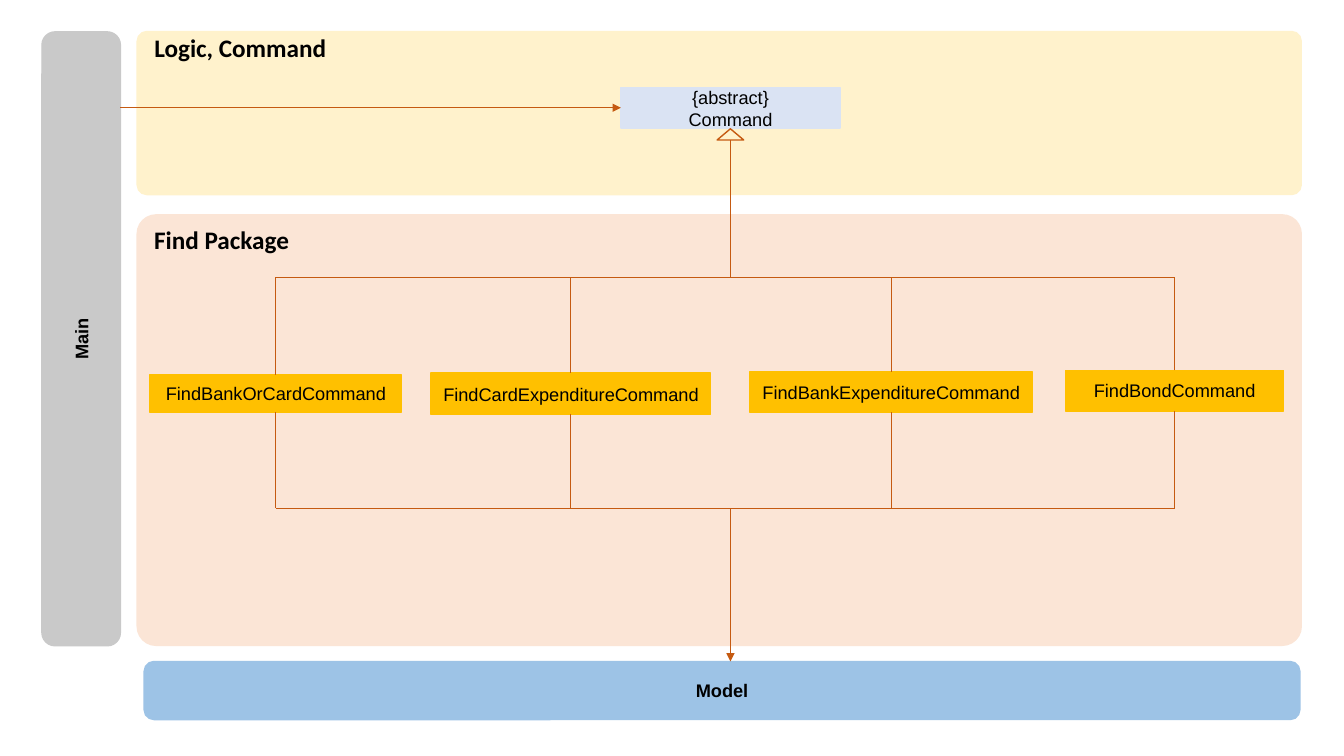
from dataclasses import dataclass

from pptx import Presentation
from pptx.dml.color import RGBColor
from pptx.enum.shapes import MSO_CONNECTOR, MSO_SHAPE
from pptx.enum.text import MSO_ANCHOR, MSO_AUTO_SIZE, PP_ALIGN
from pptx.oxml.ns import qn
from pptx.shapes.autoshape import Shape
from pptx.slide import Slide
from pptx.util import Pt
from lxml.etree import SubElement

BLACK = RGBColor(0x00, 0x00, 0x00)
PEACH = RGBColor(0xFB, 0xE5, 0xD6)
CREAM = RGBColor(0xFF, 0xF2, 0xCC)
PALE_BLUE = RGBColor(0xDA, 0xE3, 0xF3)
AMBER = RGBColor(0xFF, 0xC0, 0x00)
BLUE = RGBColor(0x9D, 0xC3, 0xE6)
GREY = RGBColor(0xC9, 0xC9, 0xC9)
RUST = RGBColor(0xC5, 0x5A, 0x11)

LABEL = {"name": "Arial", "size": Pt(13), "bold": False}
BOLD_LABEL = LABEL | {"bold": True}
HEADING = {"name": "Calibri", "size": Pt(18), "bold": True}


@dataclass(frozen=True)
class Box:
    left: float
    top: float
    width: float
    height: float
    fill: RGBColor
    text: str = ""
    corner: float = 0
    rotation: float = 0
    font: dict | None = None

    @property
    def center(self) -> float:
        return self.left + self.width / 2

    @property
    def bottom(self) -> float:
        return self.top + self.height


def write(sp: Shape, text: str, font: dict, align: PP_ALIGN, anchor: MSO_ANCHOR) -> None:
    tf = sp.text_frame
    tf.text = text
    frame = {"word_wrap": False, "auto_size": MSO_AUTO_SIZE.NONE, "vertical_anchor": anchor}
    for name, value in frame.items():
        setattr(tf, name, value)
    for p in tf.paragraphs:
        p.alignment = align
        for r in p.runs:
            for name, value in font.items():
                setattr(r.font, name, value)
            r.font.color.rgb = BLACK


def draw_box(s: Slide, box: Box) -> None:
    sp = s.shapes.add_shape(MSO_SHAPE.ROUNDED_RECTANGLE, Pt(box.left), Pt(box.top),
                            Pt(box.width), Pt(box.height))
    sp.adjustments[0] = box.corner
    sp.rotation = box.rotation
    sp.shadow.inherit = False
    sp.fill.solid()
    sp.fill.fore_color.rgb = box.fill
    sp.line.color.rgb = box.fill
    sp.line.width = Pt(1)
    if box.text:
        write(sp, box.text, box.font or LABEL, PP_ALIGN.CENTER, MSO_ANCHOR.MIDDLE)


def draw_line(s: Slide, x1: float, y1: float, x2: float, y2: float, arrow: bool = False) -> None:
    line = s.shapes.add_connector(MSO_CONNECTOR.STRAIGHT, Pt(x1), Pt(y1), Pt(x2), Pt(y2))
    line.line.color.rgb = RUST
    line.line.width = Pt(0.5)
    if arrow:
        SubElement(line.line._get_or_add_ln(), qn("a:tailEnd"), type="triangle")
    SubElement(line._element.spPr, qn("a:effectLst"))


def place_heading(sp: Shape, text: str, top: float, width: float) -> None:
    place = {"left": Pt(103), "top": Pt(top), "width": Pt(width), "height": Pt(29)}
    for name, value in place.items():
        setattr(sp, name, value)
    write(sp, text, HEADING, PP_ALIGN.LEFT, MSO_ANCHOR.TOP)


prs = Presentation()
prs.slide_width, prs.slide_height = Pt(960), Pt(540)
s = prs.slides.add_slide(prs.slide_layouts[5])

# Panels and boxes
find_panel = Box(98, 153.5, 831.5, 307.5, PEACH, corner=0.044)
logic_panel = Box(98, 22.5, 831.5, 116.5, CREAM, corner=0.059)
command = Box(443.5, 62.5, 156.5, 29, PALE_BLUE, "{abstract}\nCommand")
model = Box(103, 472.5, 825.5, 41.5, BLUE, "Model", corner=0.167, font=BOLD_LABEL)
main = Box(-161.25, 214, 438.5, 56, GREY, "Main", corner=0.167, rotation=270, font=BOLD_LABEL)
find_commands = [
    Box(107, 267.75, 180, 26.5, AMBER, "FindBankOrCardCommand"),
    Box(308, 266.5, 199.5, 29.5, AMBER, "FindCardExpenditureCommand"),
    Box(535.75, 265.5, 201.5, 29, AMBER, "FindBankExpenditureCommand"),
    Box(761, 264.5, 156, 29, AMBER, "FindBondCommand"),
]
for box in (find_panel, logic_panel, command, *find_commands, model, main):
    draw_box(s, box)

# Panel headings
title = s.shapes.title
title.element.getparent().append(title.element)
place_heading(title, "Logic, Command", 19.5, 139)
place_heading(s.shapes.add_textbox(0, 0, 0, 0), "Find Package", 157, 112)

# Inheritance arrowhead
HEAD_WIDTH, HEAD_HEIGHT = 19, 8
trunk = command.center
head = s.shapes.add_shape(MSO_SHAPE.ISOSCELES_TRIANGLE, Pt(trunk - HEAD_WIDTH / 2),
                          Pt(command.bottom + 0.5), Pt(HEAD_WIDTH), Pt(HEAD_HEIGHT))
head.shadow.inherit = False
head.fill.background()
head.line.color.rgb = RUST
head.line.width = Pt(1)

# Buses joining the find commands
UPPER_BUS, LOWER_BUS = 198, 363
for y in (UPPER_BUS, LOWER_BUS):
    draw_line(s, find_commands[0].center, y, find_commands[-1].center, y)
for box in find_commands:
    draw_line(s, box.center, box.top, box.center, UPPER_BUS)
    draw_line(s, box.center, LOWER_BUS, box.center, box.bottom)

# Trunk and arrows
main_edge = main.center + main.height / 2
command_middle = command.top + command.height / 2
draw_line(s, trunk, UPPER_BUS, trunk, command.bottom + 0.5 + HEAD_HEIGHT)
draw_line(s, trunk, LOWER_BUS, trunk, model.top, arrow=True)
draw_line(s, main_edge, command_middle, command.left, command_middle, arrow=True)

prs.save("out.pptx")
